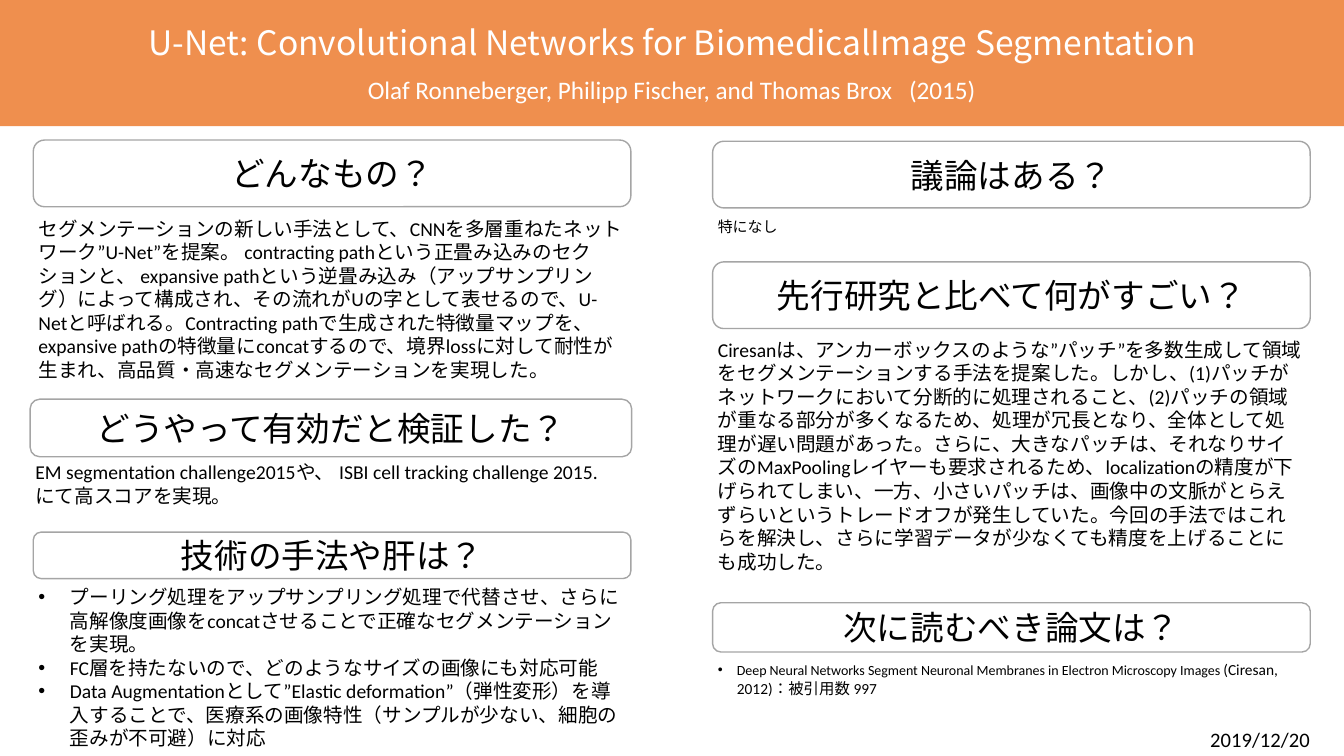
from lxml.etree import SubElement
from pptx import Presentation
from pptx.dml.color import RGBColor
from pptx.enum.lang import MSO_LANGUAGE_ID
from pptx.enum.shapes import MSO_SHAPE
from pptx.enum.text import MSO_ANCHOR, MSO_AUTO_SIZE, PP_ALIGN
from pptx.oxml.ns import qn
from pptx.util import Cm, Pt

SLIDE_W, SLIDE_H = 33.87, 19.05
LEFT, RIGHT, COLUMN_W = 0.84, 17.96, 15.06
INSET = 0.13
BLACK, WHITE, GRAY, ORANGE = "000000", "FFFFFF", "A5A5A5", "ED7D31"


def color(hex_value):
    return RGBColor.from_string(hex_value)


def apply(target, values):
    for name, value in values.items():
        setattr(target, name, value)


def set_frame(frame, anchor=MSO_ANCHOR.TOP, inset=INSET, auto_size=MSO_AUTO_SIZE.NONE):
    apply(frame, {"word_wrap": True, "auto_size": auto_size, "vertical_anchor": anchor,
                  "margin_left": Cm(inset), "margin_right": Cm(inset),
                  "margin_top": Cm(inset), "margin_bottom": Cm(inset)})


def add_run(paragraph, text, size, hex_value=BLACK, font="Calibri"):
    run = paragraph.add_run()
    run.text = text
    apply(run.font, {"size": Pt(size), "name": font,
                     "language_id": MSO_LANGUAGE_ID.JAPANESE})
    run.font.color.rgb = color(hex_value)
    # East Asian characters share the font
    SubElement(run.font._element, qn("a:ea"), typeface=font)


def add_bullet(paragraph, indent):
    properties = paragraph._p.get_or_add_pPr()
    properties.set("marL", str(Cm(indent)))
    properties.set("indent", str(-Cm(indent)))
    SubElement(properties, qn("a:buFont"), typeface="Arial")
    SubElement(properties, qn("a:buChar"), char="•")


def add_panel(slide, preset, box, fill, outline=None):
    panel = slide.shapes.add_shape(preset, *map(Cm, box))
    panel.shadow.inherit = False
    panel.fill.solid()
    panel.fill.fore_color.rgb = color(fill)
    if outline:
        panel.line.color.rgb = color(outline)
        panel.line.width = Pt(1)
    else:
        panel.line.fill.background()
    return panel


def add_banner(slide, box, title, authors):
    banner = add_panel(slide, MSO_SHAPE.RECTANGLE, box, ORANGE)
    fill_color = banner._element.spPr.find(qn("a:solidFill"))[0]
    SubElement(fill_color, qn("a:alpha"), val="86000")
    frame = banner.text_frame
    set_frame(frame, MSO_ANCHOR.MIDDLE, 0)
    title_line, author_line = frame.paragraphs[0], frame.add_paragraph()
    apply(title_line, {"alignment": PP_ALIGN.CENTER})
    apply(author_line, {"alignment": PP_ALIGN.CENTER, "space_before": Pt(9)})
    add_run(title_line, title, 24, WHITE, "Noto Sans CJK JP")
    add_run(author_line, authors, 18, WHITE)


def add_heading(slide, box, question):
    heading = add_panel(slide, MSO_SHAPE.ROUNDED_RECTANGLE, box, WHITE, GRAY)
    set_frame(heading.text_frame, MSO_ANCHOR.MIDDLE)
    line = heading.text_frame.paragraphs[0]
    line.alignment = PP_ALIGN.CENTER
    add_run(line, question, 24)


def add_answer(slide, box, paragraphs, indent=None, alignment=None):
    """Each paragraph is a list of (text, size) runs."""
    frame = slide.shapes.add_textbox(*map(Cm, box)).text_frame
    set_frame(frame, auto_size=MSO_AUTO_SIZE.SHAPE_TO_FIT_TEXT)
    for index, runs in enumerate(paragraphs):
        paragraph = frame.add_paragraph() if index else frame.paragraphs[0]
        paragraph.alignment = alignment
        if indent:
            add_bullet(paragraph, indent)
        for text, size in runs:
            add_run(paragraph, text, size)


def add_section(slide, box, heading_h, answer_top, question, paragraphs,
                indent=None, overhang=0):
    """Heading at the top of the box, answer below it down to the box bottom."""
    left, top, width, height = box
    add_heading(slide, (left, top, width + overhang, heading_h), question)
    add_answer(slide, (left, top + answer_top, width, height - answer_top),
               paragraphs, indent)


def main():
    presentation = Presentation()
    apply(presentation, {"slide_width": Cm(SLIDE_W), "slide_height": Cm(SLIDE_H)})
    slide = presentation.slides.add_slide(presentation.slide_layouts[6])

    # Left column
    add_section(slide, (LEFT, 3.53, COLUMN_W, 6.25), 1.68, 1.8, "どんなもの？", [[(
        "セグメンテーションの新しい手法として、CNNを多層重ねたネットワーク”U-Net”を提案。"
        " contracting pathという正畳み込みのセクションと、 expansive pathという逆畳み込み"
        "（アップサンプリング）によって構成され、その流れがUの字として表せるので、U-Netと呼ばれる。"
        "Contracting pathで生成された特徴量マップを、expansive pathの特徴量にconcatするので、"
        "境界lossに対して耐性が生まれ、高品質・高速なセグメンテーションを実現した。", 14)]])
    add_section(slide, (0.76, 10.06, COLUMN_W, 2.85), 1.45, 1.4,
                "どうやって有効だと検証した？", [
        [("EM segmentation challenge2015や、 ISBI cell tracking challenge 2015.", 14)],
        [("にて高スコアを実現。", 14)]], overhang=0.1)
    add_section(slide, (LEFT, 13.41, COLUMN_W, 5.64), 1.17, 1.2, "技術の手法や肝は？", [
        [("プーリング処理をアップサンプリング処理で代替させ、さらに高解像度画像をconcatさせることで"
          "正確なセグメンテーションを実現。", 14)],
        [("FC層を持たないので、どのようなサイズの画像にも対応可能", 14)],
        [("Data Augmentationとして”Elastic deformation”（弾性変形）を導入することで、"
          "医療系の画像特性（サンプルが少ない、細胞の歪みが不可避）に対応", 14)]], indent=0.79)

    # Right column
    add_section(slide, (RIGHT, 3.56, COLUMN_W, 2.51), 1.68, 1.8, "議論はある？",
                [[("特になし", 10.7)]])
    add_section(slide, (RIGHT, 6.6, COLUMN_W, 8.61), 1.68, 1.78,
                "先行研究と比べて何がすごい？", [[(
        "Ciresanは、アンカーボックスのような”パッチ”を多数生成して領域をセグメンテーションする手法を"
        "提案した。しかし、(1)パッチがネットワークにおいて分断的に処理されること、(2)パッチの領域が"
        "重なる部分が多くなるため、処理が冗長となり、全体として処理が遅い問題があった。さらに、"
        "大きなパッチは、それなりサイズのMaxPoolingレイヤーも要求されるため、localizationの精度が"
        "下げられてしまい、一方、小さいパッチは、画像中の文脈がとらえずらいというトレードオフが"
        "発生していた。今回の手法ではこれらを解決し、さらに学習データが少なくても精度を上げることにも"
        "成功した。", 14)]])
    add_section(slide, (RIGHT, 15.19, COLUMN_W, 2.51), 1.24, 1.32, "次に読むべき論文は？", [[
        ("Deep Neural Networks Segment Neuronal Membranes in Electron Microscopy Images ", 10),
        ("(Ciresan, 2012)：被引用数 997", 11)]], indent=0.48)

    # Title banner and date
    add_banner(slide, (0, 0, SLIDE_W, 3.18),
               "U-Net: Convolutional Networks for BiomedicalImage Segmentation",
               "Olaf Ronneberger, Philipp Fischer, and Thomas Brox   (2015)")
    add_answer(slide, (29.64, 18.19, 4.23, 0.86), [[("2019/12/20", 14.7)]],
               alignment=PP_ALIGN.CENTER)

    presentation.save("out.pptx")


if __name__ == "__main__":
    main()
